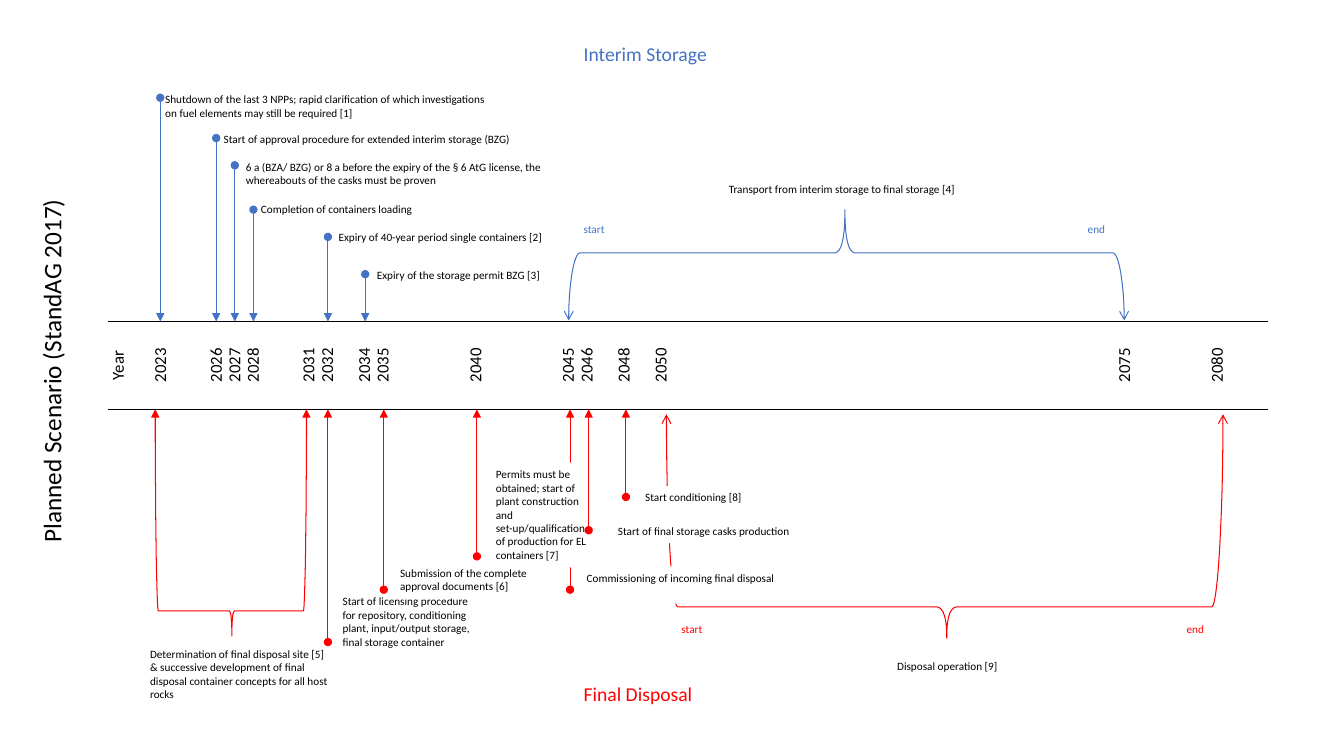
from dataclasses import dataclass
from lxml.etree import SubElement
from pptx import Presentation
from pptx.dml.color import RGBColor
from pptx.enum.shapes import MSO_CONNECTOR
from pptx.enum.text import MSO_ANCHOR, PP_ALIGN
from pptx.oxml import parse_xml
from pptx.oxml.ns import nsdecls, qn
from pptx.util import Inches, Pt


@dataclass(frozen=True)
class Theme:
    """Colours, font and type sizes."""
    blue: str = "4472C4"
    red: str = "FF0000"
    black: str = "000000"
    white: str = "FFFFFF"
    font: str = "Calibri"
    note: int = 8
    year: int = 12
    head: int = 14
    title: int = 18
    line: float = 0.75


THEME = Theme()
PLAIN = "{2D5ABB26-0587-4C30-8999-92F81FD0307C}"
FINE = 1000
FIRST, LAST = 2023, 2080
LEFT, TOP, WIDTH, HEIGHT = 1.07, 3.19, 11.52, 0.87
BASE = TOP + HEIGHT
EDGE = 0.42
YEARS = (2023, 2026, 2027, 2028, 2031, 2032, 2034, 2035, 2040,
         2045, 2046, 2048, 2050, 2075, 2080)

STORE = (
    (2023, 0.97, 1.54, 0.87, 3.43, "Shutdown of the last 3 NPPs; rapid clarification of "
     "which investigations on fuel elements may still be required [1]"),
    (2026, 1.37, 2.12, 1.26, 3.15,
     "Start of approval procedure for extended interim storage (BZG)"),
    (2027, 1.64, 2.34, 1.54, 3.27, "6 a (BZA/ BZG) or 8 a before the expiry of the "
     "§ 6 AtG license, the whereabouts of the casks must be proven"),
    (2028, 2.08, 2.49, 1.96, 3.12, "Completion of containers loading"),
    (2032, 2.35, 3.26, 2.24, 2.76, "Expiry of 40-year period single containers [2]"),
    (2034, 2.72, 3.64, 2.61, 2.24, "Expiry of the storage permit BZG [3]"),
)
FINAL = (
    (2032, 6.37, 3.3, 5.85, 1.5, 0.64, "Start of licensing procedure for repository, "
     "conditioning plant, input/output storage, final storage container"),
    (2035, 5.85, 3.87, 5.57, 1.5, 0.37,
     "Submission of the complete approval documents [6]"),
    (2045, 5.85, 5.72, 5.62, 2.41, 0.37, "Commissioning of incoming final disposal"),
    (2040, 5.52, 4.82, 4.59, 1.2, 1.04, "Permits must be obtained; start of plant "
     "construction and set-up/qualification of production for EL containers [7]"),
    (2046, 5.26, 6.03, 5.15, 1.91, 0.24, "Start of final storage casks production"),
    (2048, 4.93, 6.3, 4.82, 2.09, 0.37, "Start conditioning [8]"),
)
NOTES = (
    (7.13, 1.76, 2.53, "Transport from interim storage to final storage [4]", THEME.black),
    (5.69, 2.16, 0.5, "start", THEME.blue),
    (10.69, 2.16, 0.5, "end", THEME.blue),
    (1.39, 6.37, 1.97, "Determination of final disposal site [5] & successive development "
     "of final disposal container concepts for all host rocks", THEME.black),
    (6.66, 6.12, 0.5, "start", THEME.red),
    (11.67, 6.12, 0.5, "end", THEME.red),
    (8.8, 6.49, 1.3, "Disposal operation [9]", THEME.black),
)


def spot(year):
    """Return the place of a year along the slide."""
    return 1.59 + (year - FIRST) * (12.12 - 1.59) / (LAST - FIRST)


def style(para, size, color=THEME.black):
    """Set the font of a paragraph."""
    para.font.name = THEME.font
    para.font.size = Pt(size)
    para.font.color.rgb = RGBColor.from_string(color)


def label(slide, x, y, wide, tall, text, color=THEME.black, size=THEME.note, fill=None):
    """Add a wrapped text box."""
    box = slide.shapes.add_textbox(*map(Inches, (x, y, wide, tall)))
    box.text_frame.word_wrap = True
    para = box.text_frame.paragraphs[0]
    para.text = text
    style(para, size, color)
    if fill:
        box.fill.solid()
        box.fill.fore_color.rgb = RGBColor.from_string(fill)
    return box


def ends(shape, color, head, tail):
    """Set the line of a shape and its two ends."""
    shape.line.color.rgb = RGBColor.from_string(color)
    shape.line.width = Pt(THEME.line)
    line = shape.line._get_or_add_ln()
    SubElement(line, qn("a:headEnd"), type=head)
    SubElement(line, qn("a:tailEnd"), type=tail)


def event(slide, year, dot, rim, color):
    """Add an arrow from a dot to the time band."""
    x = Inches(spot(year))
    arrow = slide.shapes.add_connector(MSO_CONNECTOR.STRAIGHT, x, Inches(dot), x, Inches(rim))
    ends(arrow, color, "oval", "triangle")
    SubElement(arrow._element.spPr, qn("a:effectLst"))


def curve(*pts, steps=12):
    """Return points along a cubic curve."""
    parts = []
    for step in range(steps + 1):
        t = step / steps
        mix = ((1 - t) ** 3, 3 * t * (1 - t) ** 2, 3 * t * t * (1 - t), t ** 3)
        parts.append(tuple(sum(m * p[k] for m, p in zip(mix, pts)) for k in (0, 1)))
    return parts


def brace(slide, left, right, foot, bar, tip, peak, bend, color, head):
    """Add a curly brace with arrows at both feet."""
    knee = foot + 0.55 * (bar - foot)
    neck = bar + 0.15 * (peak - bar)

    def foot_arc(x, turn):
        return curve((x, foot), (x, knee), (x + turn / 2, bar), (x + turn, bar))

    def tip_arc(turn):
        return curve((tip + turn, bar), (tip + turn / 2, bar), (tip, neck), (tip, peak))

    arcs = (foot_arc(left, bend) + tip_arc(-bend)
            + tip_arc(bend)[::-1] + foot_arc(right, -bend)[::-1])
    pts = [(round(x * FINE), round(y * FINE)) for x, y in arcs]
    path = slide.shapes.build_freeform(*pts[0], scale=Inches(1) / FINE)
    path.add_line_segments(pts[1:], close=False)
    shape = path.convert_to_shape()
    shape.shadow.inherit = False
    shape.fill.background()
    ends(shape, color, head, head)


def rule(cell, side):
    """Draw a black rule on one side of a cell."""
    cell._tc.get_or_add_tcPr().insert(0, parse_xml(
        f'<a:{side} {nsdecls("a")} w="12700"><a:solidFill>'
        f'<a:srgbClr val="{THEME.black}"/></a:solidFill></a:{side}>'))


def band(slide):
    """Add the table of years."""
    count = LAST - FIRST + 3
    table = slide.shapes.add_table(3, count, *map(Inches, (LEFT, TOP, WIDTH, HEIGHT))).table
    table.first_row = table.horz_banding = False
    table._tbl.tblPr.find(qn("a:tableStyleId")).text = PLAIN
    step = (WIDTH - 2 * EDGE) / (count - 2)
    for col, column in enumerate(table.columns):
        column.width = Inches(EDGE if col in (0, count - 1) else step)
    for row, tall in zip(table.rows, (0.15, 0.57, 0.15)):
        row.height = Inches(tall)
    words = {0: "Year"} | {year - FIRST + 1: str(year) for year in YEARS}
    for index, cell in enumerate(table.iter_cells()):
        row, col = divmod(index, count)
        cell.fill.background()
        cell.margin_left = cell.margin_right = cell.margin_top = cell.margin_bottom = 0
        para = cell.text_frame.paragraphs[0]
        if row == 1 and col in words:
            para.text = words[col]
            para.alignment = PP_ALIGN.CENTER
            style(para, THEME.year)
            cell.vertical_anchor = MSO_ANCHOR.MIDDLE
            cell._tc.get_or_add_tcPr().set("vert", "vert270")
        else:
            SubElement(para._p, qn("a:endParaRPr"), sz="100")
        if row != 1:
            rule(cell, "lnB" if row else "lnT")


def main():
    """Build the timeline slide."""
    deck = Presentation()
    deck.slide_width, deck.slide_height = Inches(13.33), Inches(7.5)
    slide = deck.slides.add_slide(deck.slide_layouts[6])
    brace(slide, 6.61, 12.13, 4.11, 6.02, 9.39, 6.33, 0.11, THEME.red, "arrow")
    band(slide)
    brace(slide, 5.64, 11.15, 3.18, 2.51, 8.38, 2.08, 0.11, THEME.blue, "arrow")
    brace(slide, 1.54, 3.04, BASE, 6.06, 2.3, 6.31, 0.03, THEME.red, "triangle")
    for x, y, wide, text, color in NOTES:
        label(slide, x, y, wide, 0.24, text, color)
    for year, dot, x, y, wide, text in STORE:
        label(slide, x, y, wide, 0.24, text)
        event(slide, year, dot, TOP, THEME.blue)
    for year, dot, x, y, wide, tall, text in FINAL:
        event(slide, year, dot, BASE, THEME.red)
        label(slide, x, y, wide, tall, text, fill=THEME.white)
    label(slide, 5.69, 0.37, 1.6, 0.34, "Interim Storage", THEME.blue, THEME.head)
    label(slide, 5.69, 6.72, 1.6, 0.34, "Final Disposal", THEME.red, THEME.head)
    title = label(slide, 0.31, 0.87, 0.8, 5.62, "Planned Scenario (StandAG 2017)",
                  size=THEME.title)
    title.text_frame.paragraphs[0].alignment = PP_ALIGN.CENTER
    title.text_frame._txBody.bodyPr.set("vert", "vert270")
    deck.save("out.pptx")


if __name__ == "__main__":
    main()
